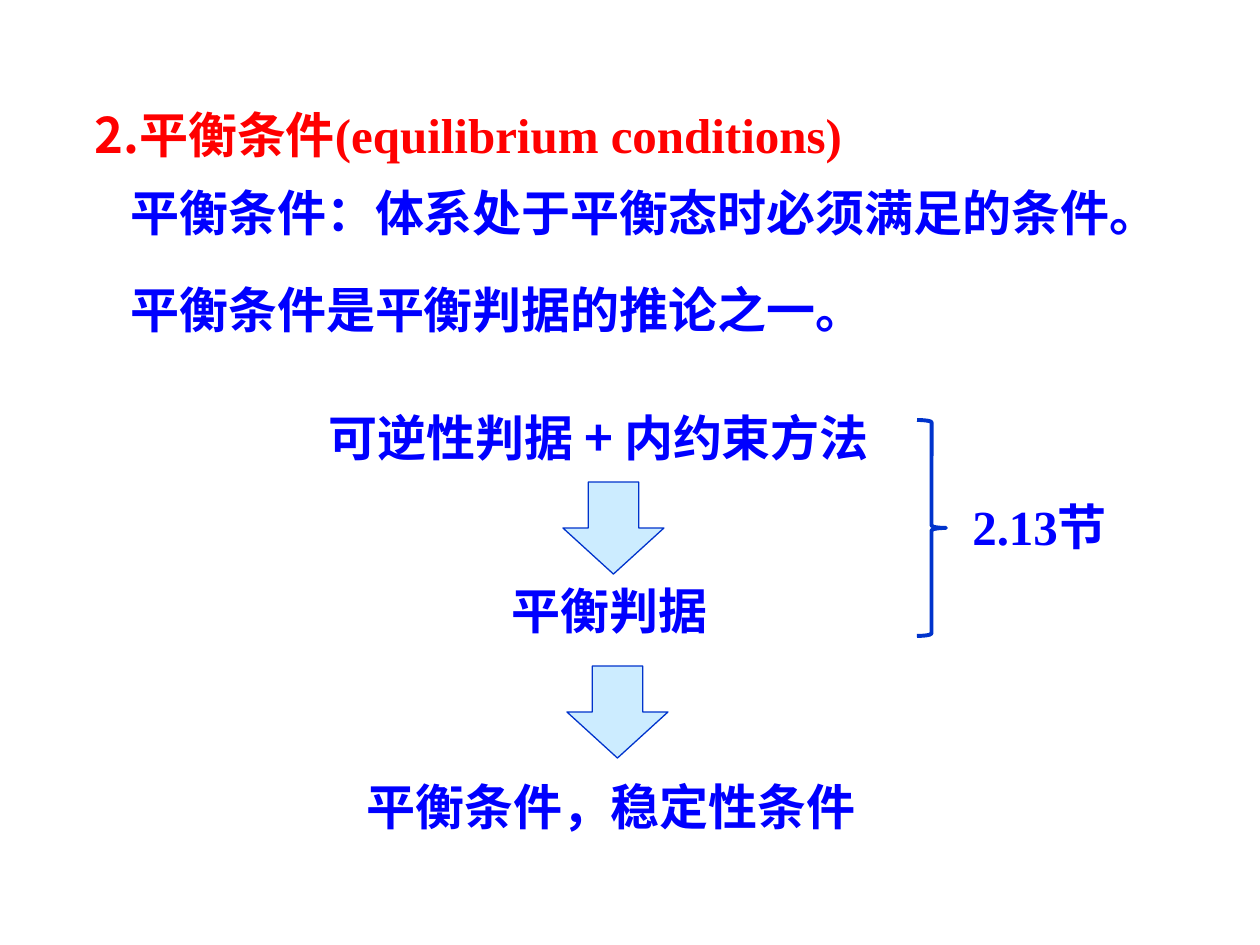
import pptx
import pptx.dml.color
import pptx.enum.shapes
import pptx.enum.text
import pptx.oxml.ns
import pptx.util
from lxml import etree

EMU_PER_PX = 914400 / 126
HAN, ROMAN = "Noto Sans CJK SC", "Times New Roman"
RED, BLUE, OUTLINE, PALE = "FF0000", "0000FF", "0033CC", "CCECFF"
MIDDLE = pptx.enum.text.MSO_ANCHOR.MIDDLE
TOP = pptx.enum.text.MSO_ANCHOR.TOP
LINE_HEIGHT = 72
ARROW_SIZE = (101, 92)


def px(length):
    """Turn pixels into EMU."""
    return pptx.util.Emu(round(length * EMU_PER_PX))


def rgb(hex_string):
    """Turn a hex string into a colour."""
    return pptx.dml.color.RGBColor.from_string(hex_string)


def add_statement(slide, left, top, width, pieces, color=BLUE, anchor=TOP):
    """Add one bold line made of (text, typeface) pieces."""
    statement = slide.shapes.add_textbox(*map(px, (left, top, width, LINE_HEIGHT)))
    frame = statement.text_frame
    frame_format = {
        "word_wrap": True,
        "vertical_anchor": anchor,
        "auto_size": pptx.enum.text.MSO_AUTO_SIZE.SHAPE_TO_FIT_TEXT,
    }
    for attribute, value in frame_format.items():
        setattr(frame, attribute, value)
    for words, typeface in pieces:
        run = frame.paragraphs[0].add_run()
        run.text = words
        font_format = {"name": typeface, "size": pptx.util.Pt(28), "bold": True}
        for attribute, value in font_format.items():
            setattr(run.font, attribute, value)
        run.font.color.rgb = rgb(color)
        east_asian = etree.SubElement(
            run.font._element, pptx.oxml.ns.qn("a:ea"))
        east_asian.set("typeface", HAN)


def add_outlined(slide, preset, bounds, weight, fill=None):
    """Add a preset shape with a coloured outline and an optional fill."""
    outlined = slide.shapes.add_shape(preset, *map(px, bounds))
    outlined.shadow.inherit = False
    outlined.line.color.rgb = rgb(OUTLINE)
    outlined.line.width = pptx.util.Pt(weight)
    if fill:
        outlined.fill.solid()
        outlined.fill.fore_color.rgb = rgb(fill)
    else:
        outlined.fill.background()


def main():
    """Build the equilibrium conditions slide."""
    deck = pptx.Presentation()
    deck.slide_width, deck.slide_height = px(1260), px(945)
    slide = deck.slides.add_slide(deck.slide_layouts[6])
    presets = pptx.enum.shapes.MSO_SHAPE

    heading = [("2.平衡条件", HAN), ("(equilibrium conditions)", ROMAN)]
    add_statement(slide, 82, 98, 975, heading, RED, MIDDLE)

    statements = [
        (118, 176, 1079, "平衡条件：体系处于平衡态时必须满足的条件。"),
        (118, 273, 1079, "平衡条件是平衡判据的推论之一。"),
        (316, 401, 599, "可逆性判据 + 内约束方法"),
        (499, 574, 228, "平衡判据"),
        (354, 770, 528, "平衡条件，稳定性条件"),
    ]
    for left, top, width, words in statements:
        add_statement(slide, left, top, width, [(words, HAN)])

    for left, top in [(563, 482), (567, 666)]:
        add_outlined(slide, presets.DOWN_ARROW, (left, top, *ARROW_SIZE), 0.75, PALE)

    add_outlined(slide, presets.RIGHT_BRACE, (917, 420, 29, 216), 2.25)
    add_statement(slide, 960, 490, 188, [("2.13", ROMAN), ("节", HAN)])

    deck.save("out.pptx")


if __name__ == "__main__":
    main()
